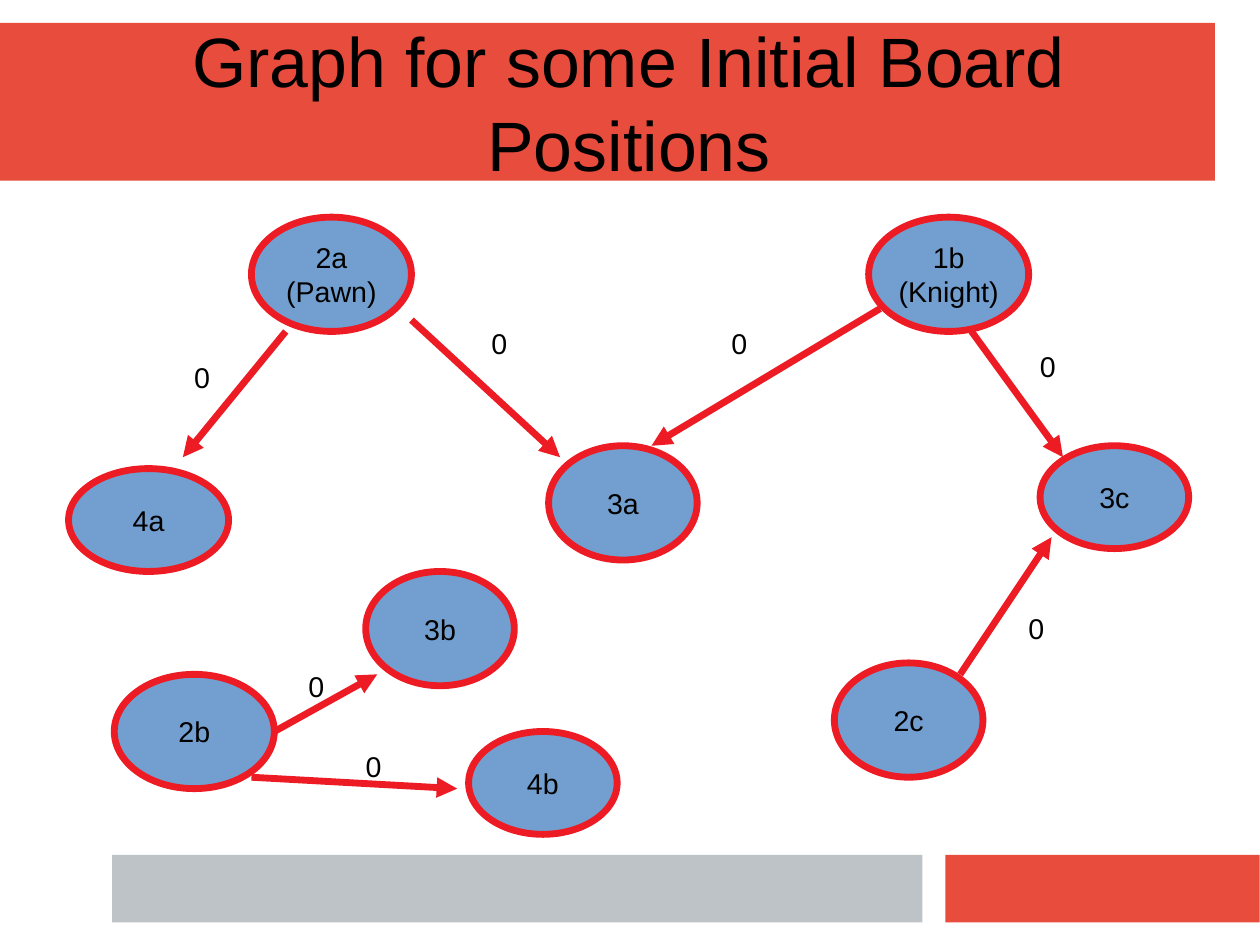
from dataclasses import dataclass

from lxml.etree import SubElement
from pptx import Presentation
from pptx.dml.color import RGBColor
from pptx.enum.shapes import MSO_CONNECTOR, MSO_SHAPE
from pptx.enum.text import MSO_ANCHOR, MSO_AUTO_SIZE, PP_ALIGN
from pptx.oxml.ns import qn
from pptx.slide import Slide
from pptx.text.text import TextFrame
from pptx.util import Cm, Inches, Length, Pt

RED = RGBColor(0xE7, 0x4C, 0x3C)
GREY = RGBColor(0xBD, 0xC3, 0xC7)
BLUE = RGBColor(0x72, 0x9F, 0xCF)
OUTLINE = RGBColor(0xED, 0x1C, 0x24)
BLACK = RGBColor(0, 0, 0)
FONT = "Arial"
LINE_WIDTH = Pt(4.31)
CELL = 0.1


@dataclass(frozen=True)
class Band:
    """A coloured bar, measured in grid cells."""

    column: float
    row: float
    columns: float
    rows: float
    colour: RGBColor


@dataclass(frozen=True)
class Node:
    """A labelled ellipse, measured in grid cells."""

    text: str
    column: int
    row: int
    columns: int = 13
    rows: int = 10


@dataclass(frozen=True)
class Edge:
    """An arrow between two grid points with the place of its weight."""

    start: tuple[int, int]
    end: tuple[int, int]
    label: tuple[int, int]
    label_columns: int = 3
    weight: str = "0"


BANDS = [
    Band(0, 2, 106.3, 13.8, RED),
    Band(82.7, 74.8, 27.5, 5.9, RED),
    Band(9.8, 74.8, 70.9, 5.9, GREY),
]
NODES = [
    Node("2a\n(Pawn)", 22, 19, columns=14),
    Node("4a", 6, 41, columns=14, rows=9),
    Node("3a", 48, 39),
    Node("1b\n(Knight)", 76, 19, columns=14),
    Node("3c", 91, 39, rows=9),
    Node("2b", 10, 59, columns=14),
    Node("3b", 32, 50),
    Node("2c", 73, 58),
    Node("4b", 41, 64, rows=9),
]
EDGES = [
    Edge((25, 29), (16, 40), (16, 31)),
    Edge((36, 28), (49, 40), (42, 28)),
    Edge((77, 27), (57, 39), (63, 28)),
    Edge((85, 29), (93, 40), (90, 30)),
    Edge((84, 59), (92, 47), (89, 53), label_columns=2),
    Edge((24, 64), (33, 59), (26, 58)),
    Edge((22, 68), (40, 69), (31, 65), label_columns=2),
]


def grid(*cells: float) -> list[Length]:
    """Turn grid cells into lengths."""
    return [Inches(cell * CELL) for cell in cells]


def write(frame: TextFrame, text: str, *, size: float = 18,
          align: PP_ALIGN = PP_ALIGN.CENTER, anchor: MSO_ANCHOR = MSO_ANCHOR.MIDDLE,
          wrap: bool = True) -> None:
    """Fill a text frame, one paragraph per line of text."""
    frame.auto_size = MSO_AUTO_SIZE.NONE
    frame.word_wrap = wrap
    frame.vertical_anchor = anchor
    frame.text = text
    for para in frame.paragraphs:
        para.alignment = align
        for span in para.runs:
            span.font.name = FONT
            span.font.size = Pt(size)
            span.font.color.rgb = BLACK


def draw_band(page: Slide, band: Band) -> None:
    """Draw a plain bar."""
    box = page.shapes.add_shape(
        MSO_SHAPE.RECTANGLE, *grid(band.column, band.row, band.columns, band.rows))
    box.shadow.inherit = False
    box.fill.solid()
    box.fill.fore_color.rgb = band.colour
    box.line.fill.background()


def draw_title(page: Slide, text: str) -> None:
    """Place the title over the top band."""
    title = page.shapes.title
    title.left, title.top, title.width, title.height = grid(3.9, 2, 102.3, 13.7)
    frame = title.text_frame
    frame.margin_left = frame.margin_right = frame.margin_top = frame.margin_bottom = 0
    write(frame, text, size=44)
    page.shapes.element.append(title.element)


def draw_node(page: Slide, node: Node) -> None:
    """Draw a graph node with its name."""
    oval = page.shapes.add_shape(
        MSO_SHAPE.OVAL, *grid(node.column, node.row, node.columns, node.rows))
    oval.shadow.inherit = False
    oval.fill.solid()
    oval.fill.fore_color.rgb = BLUE
    oval.line.color.rgb = OUTLINE
    oval.line.width = LINE_WIDTH
    write(oval.text_frame, node.text, wrap=False)


def draw_edge(page: Slide, edge: Edge) -> None:
    """Draw an arrow and its weight."""
    arrow = page.shapes.add_connector(
        MSO_CONNECTOR.STRAIGHT, *grid(*edge.start, *edge.end))
    arrow.line.color.rgb = OUTLINE
    arrow.line.width = LINE_WIDTH
    properties = arrow.element.spPr
    SubElement(properties.find(qn("a:ln")), qn("a:tailEnd"), type="triangle")
    SubElement(properties, qn("a:effectLst"))
    box = page.shapes.add_textbox(*grid(*edge.label, edge.label_columns, 3.8))
    write(box.text_frame, edge.weight, align=PP_ALIGN.LEFT, anchor=MSO_ANCHOR.TOP)


def main() -> None:
    """Build the slide and save the deck."""
    deck = Presentation()
    deck.slide_width, deck.slide_height = Cm(28), Cm(21)
    page = deck.slides.add_slide(deck.slide_layouts.get_by_name("Title Only"))
    for band in BANDS:
        draw_band(page, band)
    draw_title(page, "Graph for some Initial Board Positions")
    for node in NODES:
        draw_node(page, node)
    for edge in EDGES:
        draw_edge(page, edge)
    deck.save("out.pptx")


if __name__ == "__main__":
    main()
